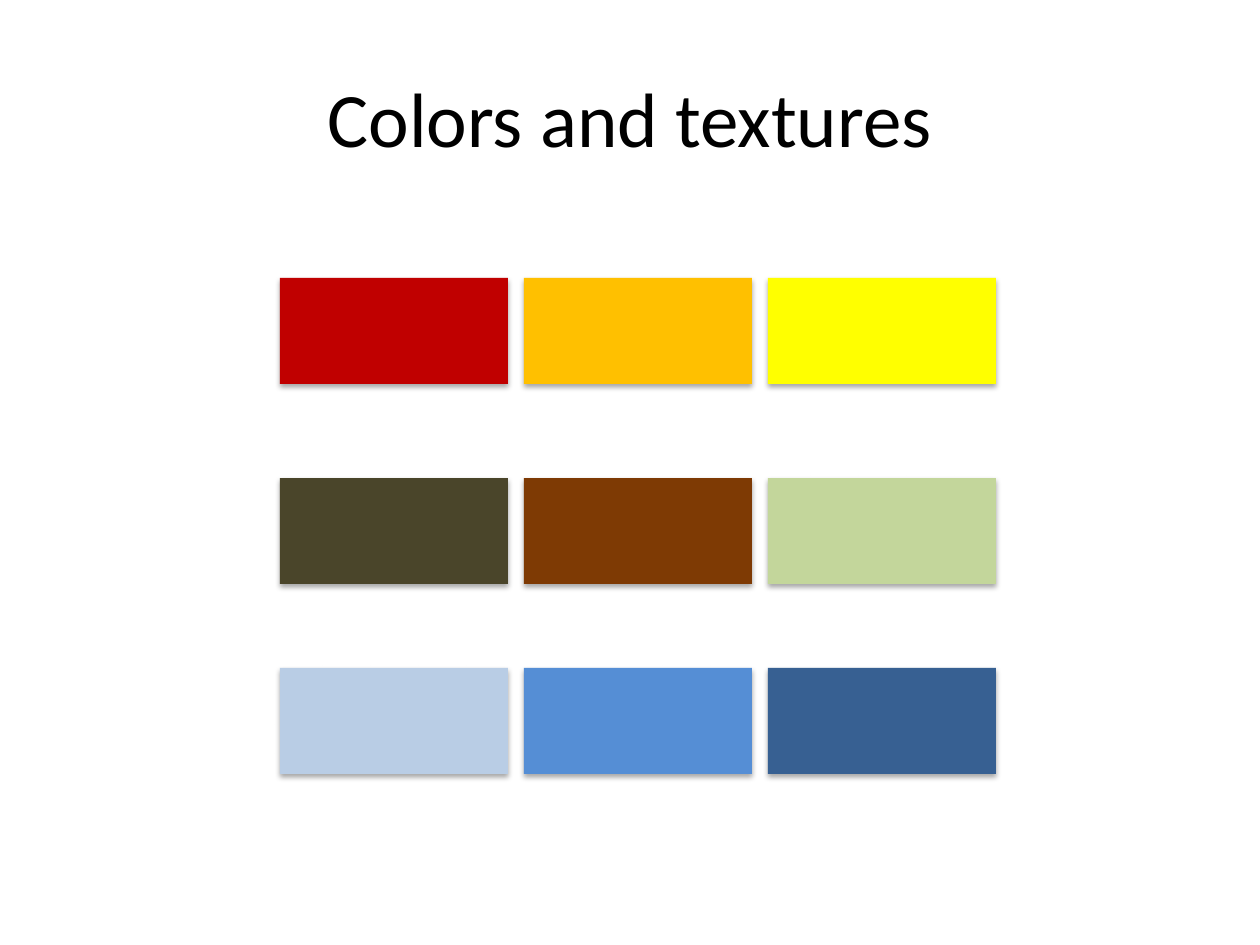
from lxml.etree import SubElement as Sub
from pptx import Presentation as Deck
from pptx.dml.color import RGBColor as Color
from pptx.enum.shapes import MSO_SHAPE as Kind
from pptx.enum.text import MSO_ANCHOR as Anchor, PP_ALIGN as Align
from pptx.oxml.ns import qn
from pptx.util import Emu, Pt

SCALE = 914400 / 126
LEFT, STEP, WIDE, HIGH = 280, 244, 228, 106
ROWS = {
    278: ["C00000", "FFC000", "FFFF00"],
    478: ["4A452A", "7E3A04", "C3D69B"],
    668: ["B9CDE5", "558ED5", "376092"],
}


def px(count):
    return Emu(round(count * SCALE))


def tint(target, code):
    target.rgb = Color.from_string(code)


def assign(target, values):
    for name, value in values.items():
        setattr(target, name, value)


def add_title(slide, text):
    title = slide.shapes.title
    assign(title, {"left": px(63), "top": px(38),
                   "width": px(1134), "height": px(158)})
    frame = title.text_frame
    frame.text = text
    assign(frame, {"vertical_anchor": Anchor.MIDDLE, "word_wrap": True})
    line = frame.paragraphs[0]
    line.alignment = Align.CENTER
    font = line.runs[0].font
    assign(font, {"name": "Calibri", "size": Pt(44)})
    tint(font.color, "000000")


def add_shade(shape):
    shape.shadow.inherit = False
    effects = shape._element.spPr.find(qn("a:effectLst"))
    shade = Sub(effects, qn("a:outerShdw"), blurRad=str(Pt(3.1)),
                dist=str(Pt(1.8)), dir="5400000", rotWithShape="0")
    black = Sub(shade, qn("a:srgbClr"), val="000000")
    Sub(black, qn("a:alpha"), val="35000")


def add_swatch(slide, left, top, code):
    swatch = slide.shapes.add_shape(
        Kind.RECTANGLE, px(left), px(top), px(WIDE), px(HIGH))
    swatch.fill.solid()
    tint(swatch.fill.fore_color, code)
    swatch.line.fill.background()
    add_shade(swatch)


def main():
    deck = Deck()
    assign(deck, {"slide_width": px(1260), "slide_height": px(945)})
    slide = deck.slides.add_slide(deck.slide_layouts[5])
    add_title(slide, "Colors and textures")
    for top, codes in ROWS.items():
        for col, code in enumerate(codes):
            add_swatch(slide, LEFT + col * STEP, top, code)
    deck.save("out.pptx")


if __name__ == "__main__":
    main()
